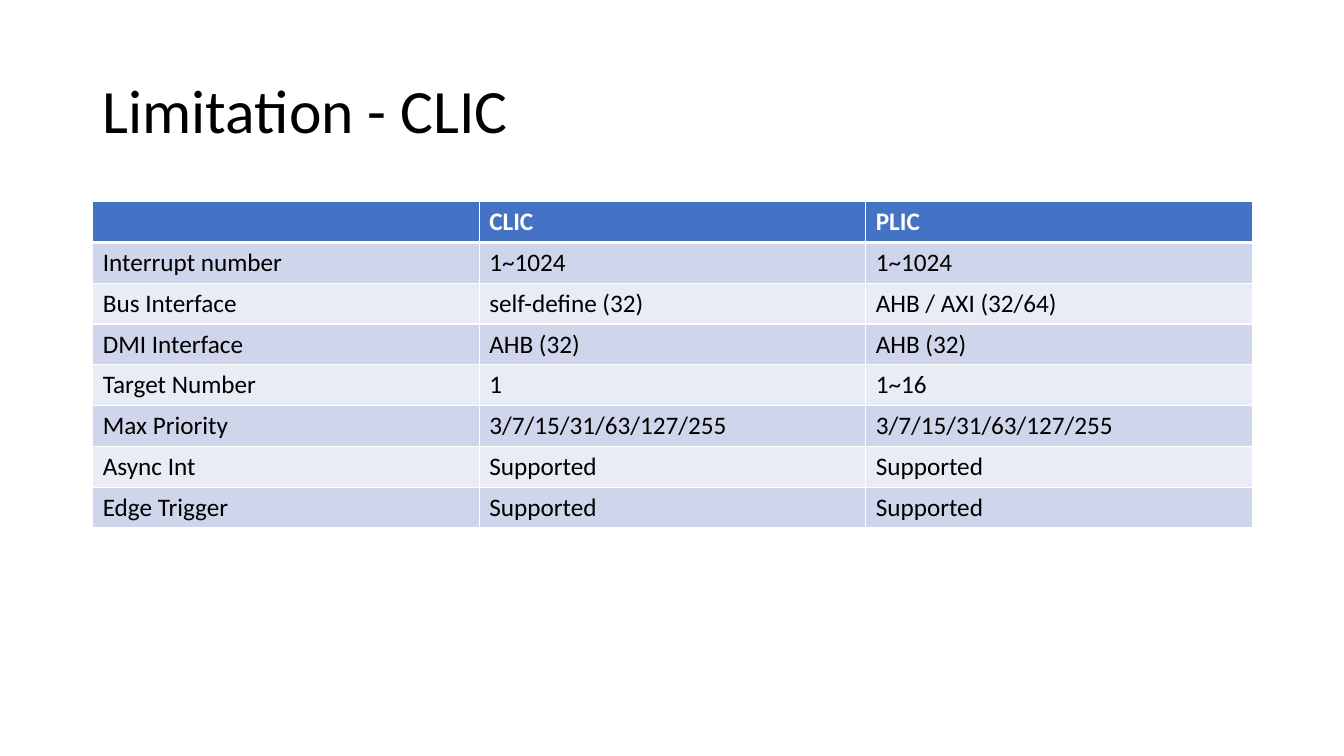
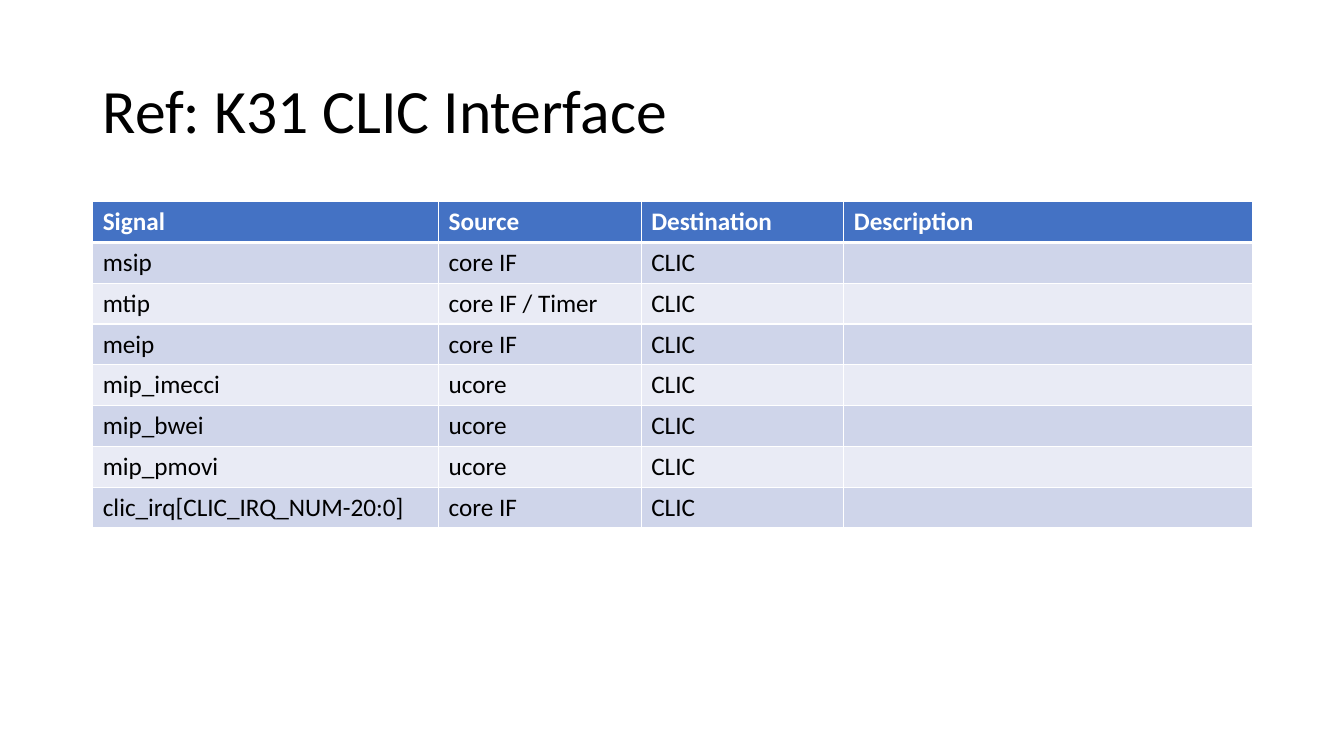
from lxml import etree
from pptx import Presentation
from pptx import util as u
from pptx.dml.color import RGBColor
from pptx.enum import text
from pptx.oxml import ns

FONT = "Calibri"
COLORS = {
    "text": "000000",
    "header": "4472C4",
    "header_text": "FFFFFF",
    "border": "FFFFFF",
    "odd_row": "CFD5EA",
    "even_row": "E9EBF5",
}

SLIDE_WIDTH, SLIDE_HEIGHT = u.Inches(13.33), u.Inches(7.5)
LEFT, CONTENT_WIDTH = u.Inches(0.92), u.Inches(11.5)
TITLE_TOP, TITLE_HEIGHT = u.Inches(0.4), u.Inches(1.45)
TABLE_TOP, ROW_HEIGHT = u.Inches(2), u.Inches(3.24 / 8)

CLIC_LIMITS = [
    ("", "CLIC", "PLIC"),
    ("Interrupt number", "1~1024", "1~1024"),
    ("Bus Interface", "self-define (32)", "AHB / AXI (32/64)"),
    ("DMI Interface", "AHB (32)", "AHB (32)"),
    ("Target Number", "1", "1~16"),
    ("Max Priority", "3/7/15/31/63/127/255", "3/7/15/31/63/127/255"),
    ("Async Int", "Supported", "Supported"),
    ("Edge Trigger", "Supported", "Supported"),
]

SIGNAL_SOURCES = [
    ("msip", "core IF"),
    ("mtip", "core IF / Timer"),
    ("meip", "core IF"),
    ("mip_imecci", "ucore"),
    ("mip_bwei", "ucore"),
    ("mip_pmovi", "ucore"),
    ("clic_irq[CLIC_IRQ_NUM-20:0]", "core IF"),
]
CLIC_SIGNALS = [("Signal", "Source", "Destination", "Description")] + [
    (signal, source, "CLIC", "") for signal, source in SIGNAL_SOURCES
]


def color(name):
    return RGBColor.from_string(COLORS[name])


def style_paragraph(paragraph, size, color_name, bold=False):
    font = paragraph.font
    font.name, font.size, font.bold = FONT, u.Pt(size), bold
    font.color.rgb = color(color_name)


def add_title(slide, title):
    shape = slide.shapes.add_textbox(LEFT, TITLE_TOP, CONTENT_WIDTH, TITLE_HEIGHT)
    frame = shape.text_frame
    frame.word_wrap = True
    frame.vertical_anchor = text.MSO_ANCHOR.MIDDLE
    paragraph = frame.paragraphs[0]
    paragraph.text = title
    paragraph.line_spacing = 0.9
    style_paragraph(paragraph, 44, "text")


def set_borders(cell, top, bottom):
    """Draw the four cell borders; top and bottom are widths in points."""
    properties = cell._tc.get_or_add_tcPr()
    widths = {"a:lnL": 1, "a:lnR": 1, "a:lnT": top, "a:lnB": bottom}
    for tag, width in widths.items():
        line = etree.SubElement(properties, ns.qn(tag), w=str(u.Pt(width)))
        fill = etree.SubElement(line, ns.qn("a:solidFill"))
        etree.SubElement(fill, ns.qn("a:srgbClr"), val=COLORS["border"])


def fill_cell(cell, value, row_index):
    is_header = row_index == 0
    set_borders(cell, top=3 if row_index == 1 else 1, bottom=3 if is_header else 1)
    band = "header" if is_header else "odd_row" if row_index % 2 else "even_row"
    cell.fill.solid()
    cell.fill.fore_color.rgb = color(band)
    cell.text = value
    text_color = "header_text" if is_header else "text"
    style_paragraph(cell.text_frame.paragraphs[0], 18, text_color, bold=is_header)


def add_banded_table(slide, rows, column_weights):
    """Add a table whose columns share the content width by weight."""
    table = slide.shapes.add_table(
        len(rows), len(column_weights), LEFT, TABLE_TOP,
        CONTENT_WIDTH, ROW_HEIGHT * len(rows),
    ).table
    for column, weight in zip(table.columns, column_weights):
        column.width = int(CONTENT_WIDTH * weight / sum(column_weights))
    for row_index, values in enumerate(rows):
        table.rows[row_index].height = ROW_HEIGHT
        for column_index, value in enumerate(values):
            fill_cell(table.cell(row_index, column_index), value, row_index)


def add_table_slide(presentation, title, rows, column_weights):
    slide = presentation.slides.add_slide(presentation.slide_layouts[6])
    add_title(slide, title)
    add_banded_table(slide, rows, column_weights)


def main():
    presentation = Presentation()
    presentation.slide_width = SLIDE_WIDTH
    presentation.slide_height = SLIDE_HEIGHT
    add_table_slide(presentation, "Limitation - CLIC", CLIC_LIMITS, (1, 1, 1))
    add_table_slide(
        presentation, "Ref: K31 CLIC Interface", CLIC_SIGNALS, (3.43, 2.01, 2.01, 4.05)
    )
    presentation.save("out.pptx")


if __name__ == "__main__":
    main()
